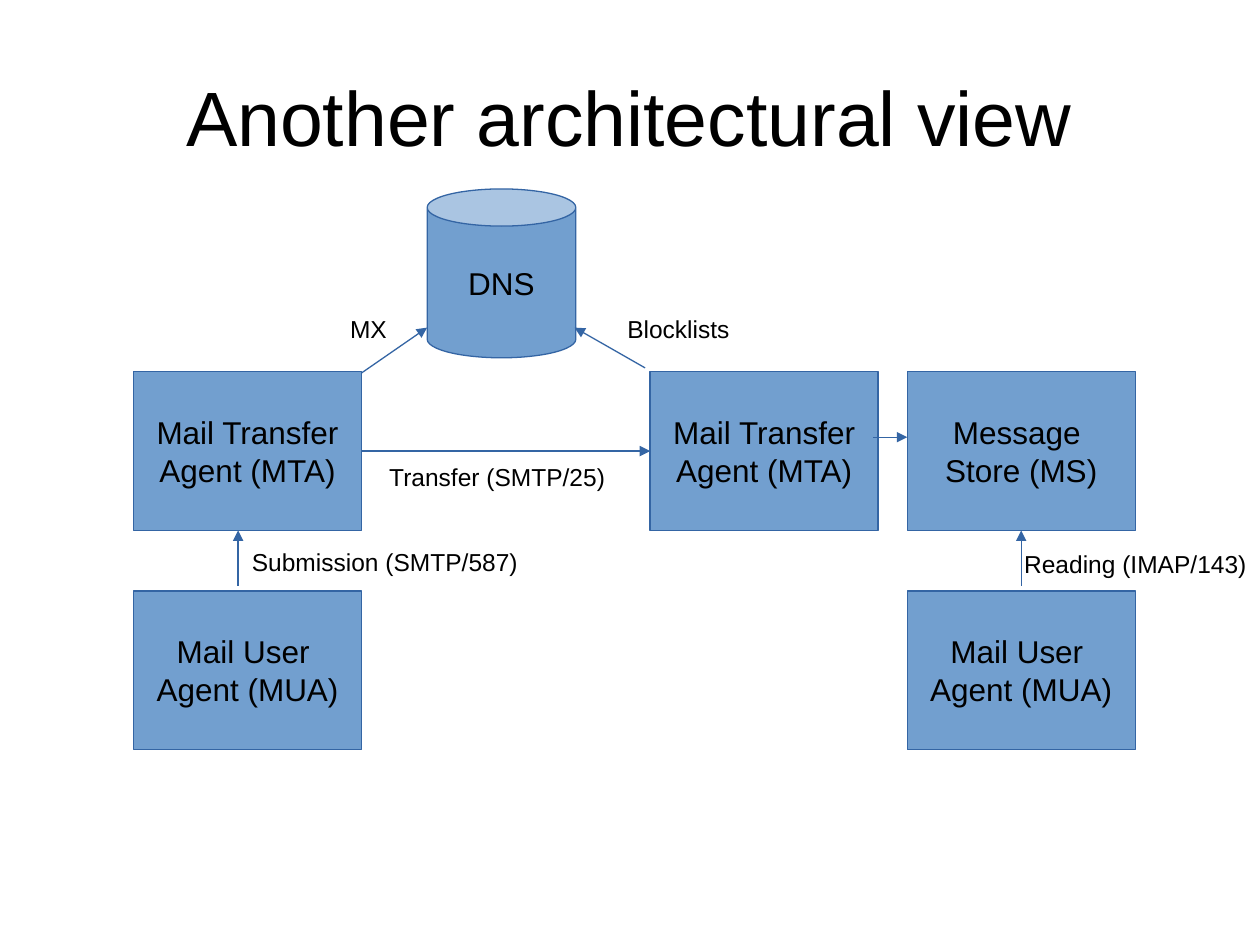
from lxml.etree import SubElement
from pptx import Presentation
from pptx.dml.color import RGBColor
from pptx.enum.shapes import MSO_CONNECTOR, MSO_SHAPE
from pptx.enum.text import MSO_ANCHOR, PP_ALIGN
from pptx.oxml.ns import qn
from pptx.util import Inches, Pt

COLUMNS = 100
BLACK, BLUE, EDGE = "000000", "729FCF", "3465A4"
NODE_WIDTH, NODE_HEIGHT = 18.1, 12.6
SENDER, RECEIVER, STORE = 0, 41, 61.4  # left columns of the nodes
SERVERS, CLIENTS = 14.5, 31.9          # top rows of the nodes
LEFT, BOTTOM, RIGHT = 1, 2, 3          # connection sites of a rectangle

prs = Presentation()
prs.slide_width, prs.slide_height = Inches(10), Inches(7.5)
CELL = prs.slide_width // COLUMNS


def color(value):
    return RGBColor.from_string(value)


def cells(*lengths):
    return [round(length * CELL) for length in lengths]


def within(box, left, top):
    """Turn a position in the box into slide coordinates."""
    return cells(box[0] + left, box[1] + top)


def write(frame, text, size, align=PP_ALIGN.LEFT, anchor=MSO_ANCHOR.TOP, wrap=True):
    frame.text = text
    frame.word_wrap = wrap
    frame.vertical_anchor = anchor
    for paragraph in frame.paragraphs:
        paragraph.alignment = align
        paragraph.font.name = "Arial"
        paragraph.font.size = Pt(size)
        paragraph.font.color.rgb = color(BLACK)


def place_title(slide, box, text):
    title = slide.shapes.title
    title.left, title.top, title.width, title.height = cells(*box)
    write(title.text_frame, text, 44, PP_ALIGN.CENTER, MSO_ANCHOR.MIDDLE)


def add_node(slide, box, left, top, text, kind=MSO_SHAPE.RECTANGLE,
             width=NODE_WIDTH, height=NODE_HEIGHT):
    node = slide.shapes.add_shape(kind, *within(box, left, top), *cells(width, height))
    node.shadow.inherit = False
    node.fill.solid()
    node.fill.fore_color.rgb = color(BLUE)
    node.line.color.rgb = color(EDGE)
    node.line.width = Pt(0.75)
    write(node.text_frame, text, 18, PP_ALIGN.CENTER, MSO_ANCHOR.MIDDLE, wrap=False)
    return node


def add_arrow(slide, box, start=(0, 0), end=(0, 0), source=None, target=None):
    """Draw an arrow between points; source and target are (node, site) joins."""
    arrow = slide.shapes.add_connector(
        MSO_CONNECTOR.STRAIGHT, *within(box, *start), *within(box, *end))
    if source:
        arrow.begin_connect(*source)
    if target:
        arrow.end_connect(*target)
    arrow.line.color.rgb = color(EDGE)
    arrow.line.width = Pt(0.75)
    SubElement(arrow.line._get_or_add_ln(), qn("a:tailEnd"), type="triangle")
    SubElement(arrow._element.spPr, qn("a:effectLst"))


def add_label(slide, box, left, top, width, text):
    label = slide.shapes.add_textbox(*within(box, left, top), *cells(width, 3.3))
    label.text_frame.margin_right = 0  # room to keep the label on one line
    write(label.text_frame, text, 14)


def place_mail_flow(slide, box):
    add_node(slide, box, STORE, CLIENTS, "Mail User \nAgent (MUA)")
    sender = add_node(slide, box, SENDER, SERVERS, "Mail Transfer\nAgent (MTA)")
    store = add_node(slide, box, STORE, SERVERS, "Message \nStore (MS)")
    receiver = add_node(slide, box, RECEIVER, SERVERS, "Mail Transfer\nAgent (MTA)")
    add_node(slide, box, SENDER, CLIENTS, "Mail User \nAgent (MUA)")
    add_node(slide, box, 23.3, 0, "DNS", MSO_SHAPE.CAN, 11.8, 13.4)

    server_bottom = SERVERS + NODE_HEIGHT
    add_arrow(slide, box, (8.3, 31.5), (8.3, server_bottom))
    add_arrow(slide, box, (NODE_WIDTH, 14.6), (23.3, 11))
    add_arrow(slide, box, source=(sender, RIGHT), target=(receiver, LEFT))
    add_arrow(slide, box, (58.7, 19.7), (STORE, 19.7))
    add_arrow(slide, box, (STORE + NODE_WIDTH / 2, 31.5), target=(store, BOTTOM))
    add_arrow(slide, box, (40.6, 14.2), (35, 11))

    add_label(slide, box, 16.2, 9.4, 5.7, "MX")
    add_label(slide, box, 38.2, 9.4, 10.1, "Blocklists")
    add_label(slide, box, 8.4, 27.9, 23.1, "Submission (SMTP/587)")
    add_label(slide, box, 19.3, 21.2, 19.2, "Transfer (SMTP/25)")
    add_label(slide, box, 69.7, 28.1, 19.6, "Reading (IMAP/143)")


def main():
    slide = prs.slides.add_slide(prs.slide_layouts[5])
    place_title(slide, (5, 3, 89.9, 12.4), "Another architectural view")
    place_mail_flow(slide, (10.6, 15))
    prs.save("out.pptx")


if __name__ == "__main__":
    main()
